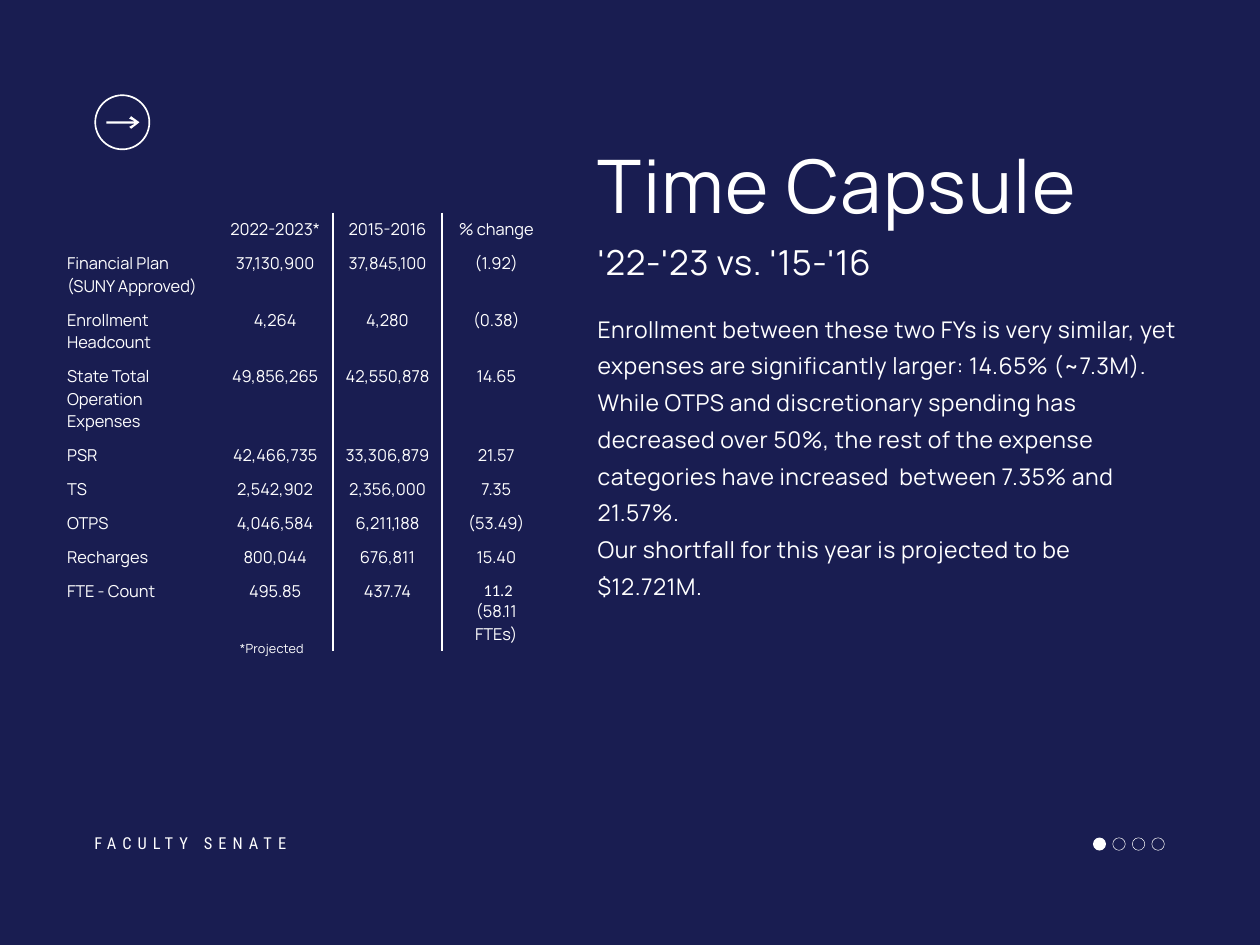
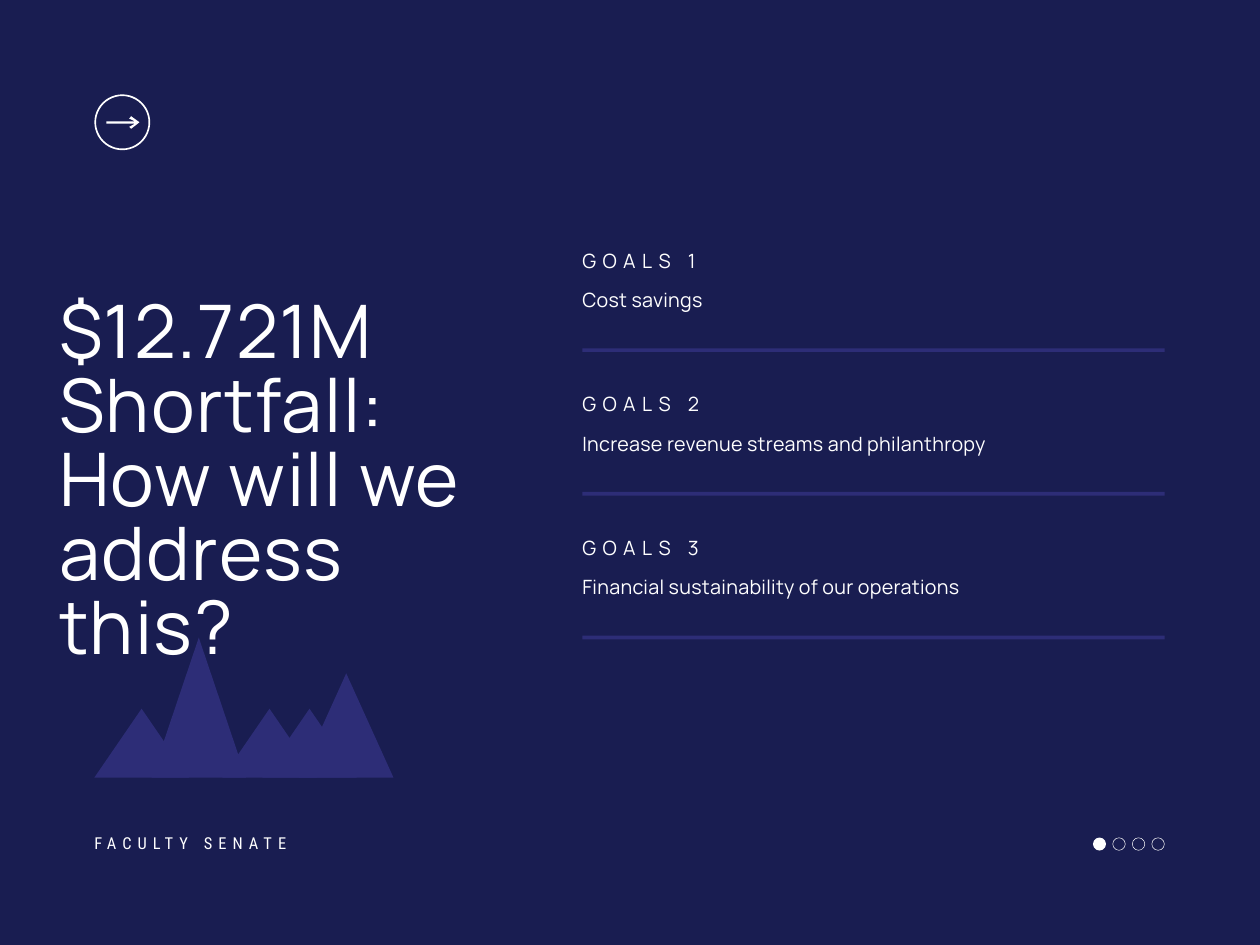
import pptx
import pptx.dml.color
import pptx.enum.shapes
import pptx.enum.text
import pptx.oxml.ns
import pptx.util
from lxml import etree

Cm = pptx.util.Cm
Pt = pptx.util.Pt
PRESET = pptx.enum.shapes.MSO_SHAPE
CENTER = pptx.enum.text.PP_ALIGN.CENTER

COLORS = {"night": "191D51", "indigo": "2D2D77", "white": "FFFFFF"}
MAIN_FONT = "Manrope"
FOOTER_FONT = "Roboto Condensed"
FIGURE_FONT = "Calibri"

FINANCES = [
    ["", "2022-2023*", "2015-2016", "% change"],
    ["Financial Plan (SUNY Approved)", "37,130,900", "37,845,100", "(1.92)"],
    ["Enrollment Headcount", "4,264", "4,280", "(0.38)"],
    ["State Total Operation Expenses", "49,856,265", "42,550,878", "14.65"],
    ["PSR", "42,466,735", "33,306,879", "21.57"],
    ["TS", "2,542,902", "2,356,000", "7.35"],
    ["OTPS", "4,046,584", "6,211,188", "(53.49)"],
    ["Recharges", "800,044", "676,811", "15.40"],
    ["FTE - Count", "495.85", "437.74", " 11.2\n(58.11 FTEs)"],
]
COLUMN_WIDTHS = [3.48, 2.49, 2.34, 2.34]
ROW_HEIGHTS = [0.51, 0.84, 0.51, 0.84, 0.51, 0.51, 0.51, 0.51, 1.17]

COMPARISON = [
    "Enrollment between these two FYs is very similar, yet expenses are "
    "significantly larger: 14.65% (~7.3M).",
    "While OTPS and discretionary spending has decreased over 50%, the rest of "
    "the expense categories have increased  between 7.35% and 21.57%.",
    "Our shortfall for this year is projected to be $12.721M.",
]
GOALS = [
    "Cost savings",
    "Increase revenue streams and philanthropy",
    "Financial sustainability of our operations",
]
PEAKS = [(2.03, 1.48), (3.26, 3.01), (4.78, 1.48), (5.64, 1.48), (6.43, 2.24)]
ARROW = [
    (3, 2.63), (2.82, 2.5), (2.78, 2.55), (2.9, 2.61), (2.29, 2.61),
    (2.29, 2.66), (2.9, 2.66), (2.78, 2.73), (2.82, 2.77),
]


def rgb(color):
    return pptx.dml.color.RGBColor.from_string(COLORS[color])


class Deck:
    """Holds the shared style and the slide being filled; lengths are in cm."""

    def __init__(self):
        self.presentation = pptx.Presentation()
        self.presentation.slide_width = Cm(27.09)
        self.presentation.slide_height = Cm(20.32)
        backdrop = self.presentation.slide_master.background.fill
        backdrop.solid()
        backdrop.fore_color.rgb = rgb("night")
        self.slide = None

    def new_slide(self):
        blank = self.presentation.slide_layouts[6]
        self.slide = self.presentation.slides.add_slide(blank)

    def style(self, paragraph, size, font=MAIN_FONT, tracking=0):
        """Format the runs; tracking is letter spacing in points."""
        for run in paragraph.runs:
            run.font.name = font
            run.font.size = Pt(size)
            run.font.color.rgb = rgb("white")
            if tracking:
                run.font._element.set("spc", str(round(tracking * 100)))

    def text(self, words, left, top, width, height, size, leading, tracking,
             font=MAIN_FONT):
        frame = self.slide.shapes.add_textbox(
            Cm(left), Cm(top), Cm(width), Cm(height)).text_frame
        frame.word_wrap = True
        frame.auto_size = pptx.enum.text.MSO_AUTO_SIZE.SHAPE_TO_FIT_TEXT
        frame.margin_left = frame.margin_right = 0
        frame.margin_top = frame.margin_bottom = 0
        frame.text = words
        for paragraph in frame.paragraphs:
            paragraph.line_spacing = Pt(leading)
            self.style(paragraph, size, font, tracking)

    def headline(self, words, left, top, width, height):
        self.text(words, left, top, width, height, 45, 45, 0.9)

    def paint(self, shape, color):
        shape.shadow.inherit = False
        shape.fill.solid()
        shape.fill.fore_color.rgb = rgb(color)
        shape.line.fill.background()

    def shape(self, preset, left, top, width, height, color):
        shape = self.slide.shapes.add_shape(
            preset, Cm(left), Cm(top), Cm(width), Cm(height))
        self.paint(shape, color)
        return shape

    def ring(self, left, top, size, thickness):
        """Thickness is a share of the size."""
        ring = self.shape(PRESET.DONUT, left, top, size, size, "white")
        ring.adjustments[0] = thickness

    def outline(self, points, color):
        corners = [(Cm(x), Cm(y)) for x, y in points]
        builder = self.slide.shapes.build_freeform(*corners[0])
        builder.add_line_segments(corners[1:])
        self.paint(builder.convert_to_shape(), color)

    def arrow_badge(self):
        self.outline(ARROW, "white")
        self.ring(2.03, 2.03, 1.2, 0.03)

    def footer(self):
        self.text("FACULTY SENATE", 2.03, 17.93, 7.8, 0.41, 10, 11.4, 3.7,
                  FOOTER_FONT)
        left, top, size, pitch = 23.5, 18.01, 0.28, 0.42
        self.shape(PRESET.OVAL, left, top, size, size, "white")
        for step in range(1, 4):
            self.ring(left + step * pitch, top, size, 0.04)

    def cell_borders(self, cell, ruled_sides):
        properties = cell._tc.get_or_add_tcPr()
        for side in "LRTB":
            border = etree.SubElement(
                properties, pptx.oxml.ns.qn(f"a:ln{side}"), w=str(Pt(1)))
            if side in ruled_sides:
                fill = etree.SubElement(border, pptx.oxml.ns.qn("a:solidFill"))
                etree.SubElement(fill, pptx.oxml.ns.qn("a:srgbClr"),
                                 val=COLORS["white"])
            else:
                etree.SubElement(border, pptx.oxml.ns.qn("a:noFill"))

    def table(self, rows, left, top, widths, heights):
        """Table ruled only between the columns of figures."""
        table = self.slide.shapes.add_table(
            len(rows), len(widths), Cm(left), Cm(top),
            Cm(sum(widths)), Cm(sum(heights))).table
        table.first_row = table.horz_banding = False
        for column, width in zip(table.columns, widths):
            column.width = Cm(width)
        for row, height in zip(table.rows, heights):
            row.height = Cm(height)
        ruled_sides = ["", "R", "LR", "L"]
        for row, entries in zip(table.rows, rows):
            for index, (cell, entry) in enumerate(zip(row.cells, entries)):
                self.cell_borders(cell, ruled_sides[index])
                cell.fill.background()
                cell.text_frame.text = entry
                for paragraph in cell.text_frame.paragraphs:
                    if index:
                        paragraph.alignment = CENTER
                    paragraph.font.size = Pt(10)
                    self.style(paragraph, 10)
        return table


def time_capsule(deck):
    deck.new_slide()
    deck.arrow_badge()
    finances = deck.table(FINANCES, 1.19, 4.57, COLUMN_WIDTHS, ROW_HEIGHTS)
    fte_change = finances.cell(8, 3).text_frame.paragraphs[0]
    deck.style(fte_change, 10, FIGURE_FONT)
    deck.text("\n".join(COMPARISON), 12.85, 6.58, 12.5, 7.77, 14, 22.4, 0.3)
    deck.headline("Time Capsule", 12.85, 3.33, 12.5, 1.73)
    deck.text("'22-'23 vs. '15-'16", 12.85, 5.33, 12.5, 0.81, 21, 21, 0.4)
    deck.text("*Projected", 5.16, 13.67, 1.57, 0.86, 7.7, 12.3, 0.1)
    deck.footer()


def shortfall(deck):
    deck.new_slide()
    deck.headline("$12.721M Shortfall: How will we address this?",
                  1.27, 6.45, 9.68, 6.4)
    base = 16.72
    for left, height in PEAKS:
        deck.shape(PRESET.ISOSCELES_TRIANGLE, left, base - height, 2.03,
                   height, "indigo")
    deck.footer()
    deck.arrow_badge()
    left, width, pitch = 12.52, 12.52, 3.09
    for index, goal in enumerate(GOALS):
        top = 5.26 + index * pitch
        deck.text(f"GOALS {index + 1}", left, top, width, 0.56, 12, 16.8, 4)
        deck.text(goal, left, top + 0.76, width, 0.63, 12, 19.2, 0.2)
        deck.shape(PRESET.RECTANGLE, left, top + 2.23, width, 0.08, "indigo")


def main():
    deck = Deck()
    time_capsule(deck)
    shortfall(deck)
    deck.presentation.save("out.pptx")


if __name__ == "__main__":
    main()
